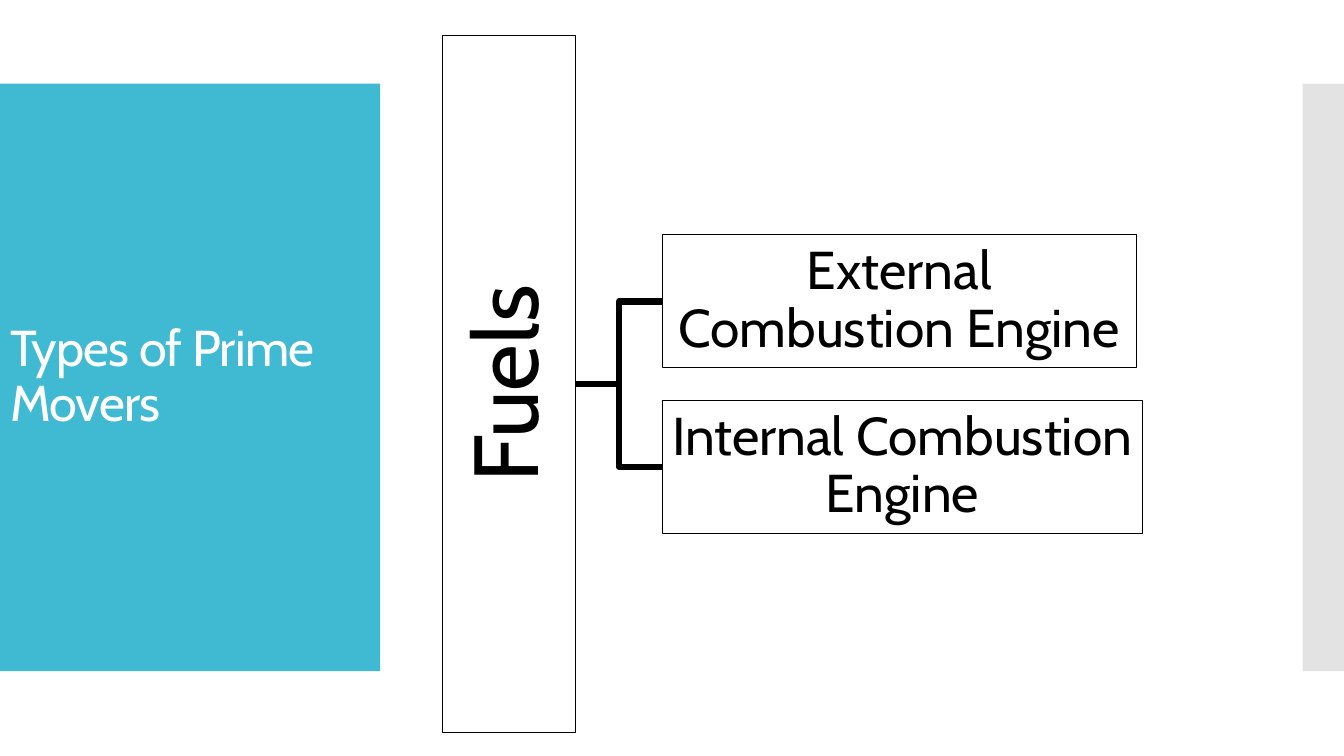
from dataclasses import dataclass

from lxml import etree
from pptx import Presentation
from pptx import util as u
from pptx.dml.color import RGBColor
from pptx.enum import shapes, text
from pptx.oxml.ns import qn


@dataclass(frozen=True)
class Theme:
    font: str = "Cabin"
    accent: RGBColor = RGBColor(0x40, 0xBA, 0xD2)
    gray: RGBColor = RGBColor(0xC8, 0xC8, 0xC8)
    white: RGBColor = RGBColor(0xFF, 0xFF, 0xFF)
    black: RGBColor = RGBColor(0, 0, 0)
    title_size: float = 36
    root_size: float = 65
    branch_size: float = 38
    border: float = 0.85
    link: float = 4.5


class SlideBuilder:
    def __init__(self, prs, theme):
        self.theme = theme
        self.s = prs.slides.add_slide(prs.slide_layouts[5])

    def set_text(self, sp, words, size, color, align, inset):
        tf = sp.text_frame
        tf.word_wrap = True
        tf.auto_size = text.MSO_AUTO_SIZE.NONE
        tf.vertical_anchor = text.MSO_ANCHOR.MIDDLE
        tf.margin_left = tf.margin_right = u.Inches(inset[0])
        tf.margin_top = tf.margin_bottom = u.Inches(inset[1])
        p = tf.paragraphs[0]
        p.text = words
        p.alignment = align
        p.line_spacing = 0.9
        p.font.name = self.theme.font
        p.font.size = u.Pt(size)
        p.font.color.rgb = color
        return p

    def title(self, words, left, top, width, height):
        sp = self.s.shapes.title
        sp.left, sp.top = u.Inches(left), u.Inches(top)
        sp.width, sp.height = u.Inches(width), u.Inches(height)
        p = self.set_text(sp, words, self.theme.title_size, self.theme.white,
                          text.PP_ALIGN.LEFT, (0.1, 0.05))
        p.runs[0]._r.get_or_add_rPr().set("spc", "-60")

    def rect(self, left, top, width, height, fill):
        sp = self.s.shapes.add_shape(
            shapes.MSO_SHAPE.RECTANGLE, u.Inches(left), u.Inches(top),
            u.Inches(width), u.Inches(height))
        sp.shadow.inherit = False
        sp.fill.solid()
        sp.fill.fore_color.rgb = fill
        return sp

    def panel(self, left, top, width, height, fill, opacity=100):
        sp = self.rect(left, top, width, height, fill)
        sp.line.fill.background()
        if opacity < 100:
            color = sp._element.spPr.find(qn("a:solidFill"))[0]
            etree.SubElement(color, qn("a:alpha")).set("val", str(opacity * 1000))
        # Panels sit behind the title
        self.s.shapes._spTree.insert(2, sp._element)

    def box(self, words, left, top, width, height, size, inset, upward=False):
        sp = self.rect(left, top, width, height, self.theme.white)
        sp.line.color.rgb = self.theme.black
        sp.line.width = u.Pt(self.theme.border)
        self.set_text(sp, words, size, self.theme.black,
                      text.PP_ALIGN.CENTER, (inset, inset))
        if upward:
            sp.text_frame._txBody.bodyPr.set("vert", "vert270")
        return sp

    def elbow(self, start, end):
        cx = self.s.shapes.add_connector(
            shapes.MSO_CONNECTOR.ELBOW,
            start.left + start.width, start.top + start.height // 2,
            end.left, end.top + end.height // 2)
        cx.begin_connect(start, 3)
        cx.end_connect(end, 1)
        cx.line.color.rgb = self.theme.black
        cx.line.width = u.Pt(self.theme.link)
        etree.SubElement(cx._element.spPr, qn("a:effectLst"))


def main():
    prs = Presentation()
    prs.slide_width, prs.slide_height = u.Inches(13.33), u.Inches(7.5)
    theme = Theme()
    b = SlideBuilder(prs, theme)

    # Side panels and title
    b.panel(0, 0.83, 3.77, 5.83, theme.accent)
    b.panel(12.92, 0.83, 0.41, 5.83, theme.gray, opacity=50)
    b.title("Types of Prime Movers", 0, 1.23, 3.75, 5.03)

    # Tree: root on the left, branches at an equal pitch
    root = b.box("Fuels", 4.39, 0.35, 1.32, 6.92, theme.root_size, 0.05, upward=True)
    branches = [("External Combustion Engine", 4.7),
                ("Internal Combustion Engine", 4.76)]
    for i, (words, width) in enumerate(branches):
        branch = b.box(words, 6.57, 2.33 + 1.64 * i, width, 1.32,
                       theme.branch_size, 0.03)
        b.elbow(root, branch)

    prs.save("out.pptx")


if __name__ == "__main__":
    main()
